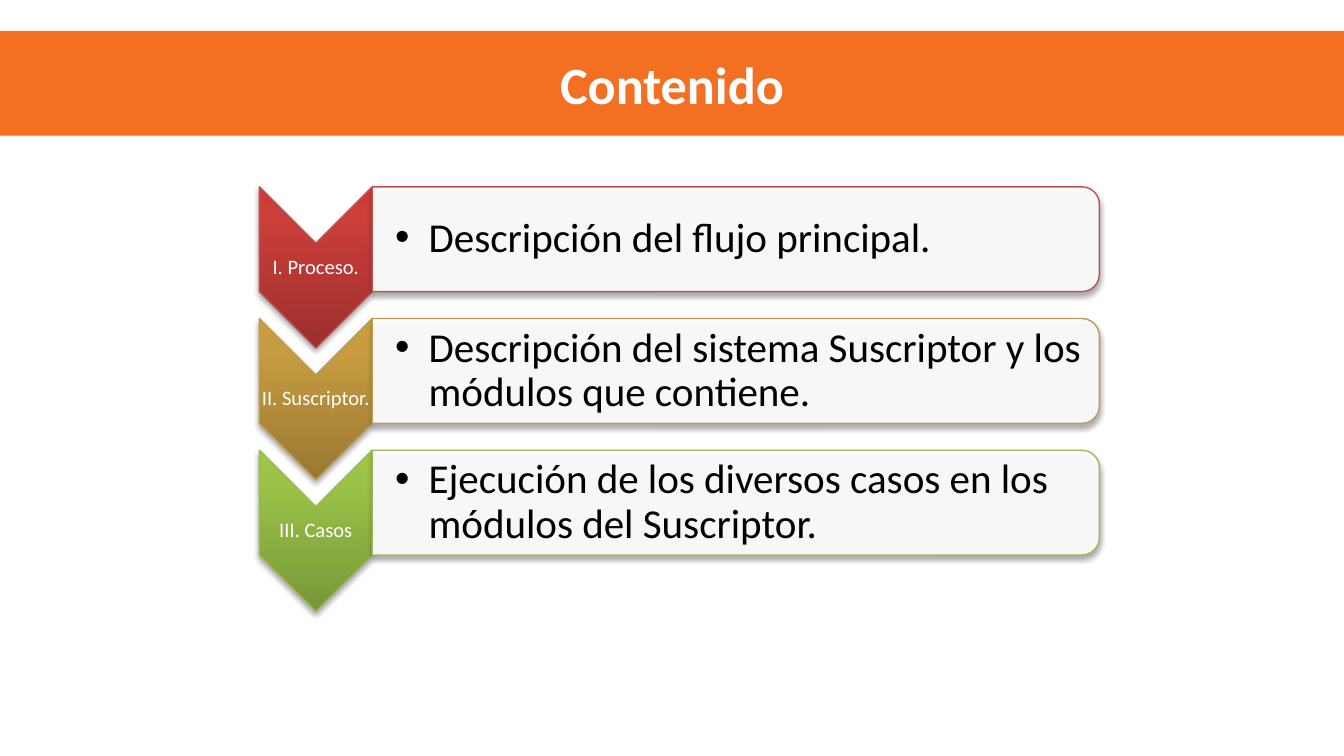
from copy import deepcopy
from dataclasses import dataclass

from pptx import Presentation
from pptx.dml.color import RGBColor
from pptx.enum.shapes import MSO_SHAPE
from pptx.enum.text import MSO_ANCHOR, PP_ALIGN
from pptx.oxml import parse_xml
from pptx.oxml.ns import nsdecls, qn
from pptx.shapes.autoshape import Shape
from pptx.shapes.group import GroupShape
from pptx.util import Inches, Pt

CHEVRON = MSO_SHAPE.CHEVRON
ROUND = MSO_SHAPE.ROUND_2_SAME_RECTANGLE
MIDDLE = MSO_ANCHOR.MIDDLE
CENTER = PP_ALIGN.CENTER
LEFT = PP_ALIGN.LEFT

ORANGE = RGBColor(0xF3, 0x70, 0x22)
WHITE = RGBColor(0xFF, 0xFF, 0xFF)
BLACK = RGBColor(0x00, 0x00, 0x00)
RED = RGBColor(0xC0, 0x50, 0x4D)
GOLD = RGBColor(0xBD, 0x9B, 0x53)
GREEN = RGBColor(0x9B, 0xBB, 0x59)
REDS = (RGBColor(0x9C, 0x2F, 0x2D), RGBColor(0xCB, 0x3E, 0x3A), RGBColor(0xCE, 0x3B, 0x37))
GOLDS = (RGBColor(0x99, 0x78, 0x32), RGBColor(0xC7, 0x9C, 0x41), RGBColor(0xCB, 0x9D, 0x3F))
GREENS = (RGBColor(0x77, 0x97, 0x37), RGBColor(0x9B, 0xC3, 0x48), RGBColor(0x9D, 0xC7, 0x46))
STOPS = (0, 0.8, 1)
FONT = "Calibri"
TOP = 1.39
PITCH = 0.98


@dataclass
class Step:
    label: str
    detail: str
    line: RGBColor
    shades: tuple[RGBColor, RGBColor, RGBColor]


STEPS = [
    Step("I. Proceso.", "Descripción del flujo principal.", RED, REDS),
    Step("II. Suscriptor.", "Descripción del sistema Suscriptor y los módulos que contiene.",
         GOLD, GOLDS),
    Step("III. Casos", "Ejecución de los diversos casos en los módulos del Suscriptor.",
         GREEN, GREENS),
]


def add_turned(group: GroupShape, kind: int, x: float, y: float,
               width: float, height: float, line: RGBColor) -> Shape:
    left = x + (width - height) / 2
    top = y + (height - width) / 2
    shape = group.shapes.add_shape(kind, Inches(left), Inches(top),
                                   Inches(height), Inches(width))
    shape.rotation = 90
    shape.line.color.rgb = line
    shape.line.width = Pt(0.75)
    shape.shadow.inherit = False
    shape.element.spPr.find(qn("a:effectLst")).append(parse_xml(
        f'<a:outerShdw {nsdecls("a")} blurRad="{Pt(3.1)}" dist="{Pt(1.8)}" dir="5400000" '
        'rotWithShape="0"><a:srgbClr val="000000"><a:alpha val="35000"/>'
        '</a:srgbClr></a:outerShdw>'))
    return shape


def fill_shades(shape: Shape, shades: tuple[RGBColor, RGBColor, RGBColor]) -> None:
    shape.fill.gradient()
    shape.fill.gradient_angle = 90
    grad = shape.element.spPr.find(qn("a:gradFill"))
    grad.set("rotWithShape", "0")
    stops = grad.find(qn("a:gsLst"))
    stops.append(deepcopy(stops[-1]))
    for stop, place, shade in zip(shape.fill.gradient_stops, STOPS, shades):
        stop.position = place
        stop.color.rgb = shade


def add_text(group: GroupShape, text: str, x: float, y: float, width: float, height: float,
             size: int, color: RGBColor, inset: float, edge: float, bullet: bool) -> None:
    box = group.shapes.add_textbox(Inches(x), Inches(y), Inches(width), Inches(height))
    frame = box.text_frame
    frame.word_wrap = True
    frame.vertical_anchor = MIDDLE
    frame.margin_left = Inches(inset)
    frame.margin_right = frame.margin_top = frame.margin_bottom = Inches(edge)
    para = frame.paragraphs[0]
    para.alignment = LEFT if bullet else CENTER
    para.line_spacing = 0.9
    if bullet:
        para.level = 1
        props = para._p.get_or_add_pPr()
        props.set("marL", str(Inches(0.25)))
        props.set("indent", str(Inches(-0.25)))
        props.append(parse_xml(f'<a:buFont {nsdecls("a")} typeface="Arial"/>'))
        props.append(parse_xml(f'<a:buChar {nsdecls("a")} char="•"/>'))
    run = para.add_run()
    run.text = text
    run.font.name = FONT
    run.font.size = Pt(size)
    run.font.color.rgb = color


def add_step(group: GroupShape, step: Step, y: float) -> None:
    arrow = add_turned(group, CHEVRON, 1.93, y, 0.84, 1.2, step.line)
    fill_shades(arrow, step.shades)
    add_text(group, step.label, 1.93, y + 0.42, 0.84, 0.36, 11, WHITE, 0.01, 0.01, False)
    panel = add_turned(group, ROUND, 2.77, y, 5.41, 0.78, step.line)
    panel.fill.solid()
    panel.fill.fore_color.rgb = WHITE
    tint = panel.element.spPr.find(qn("a:solidFill"))[0]
    tint.append(parse_xml(f'<a:alpha {nsdecls("a")} val="90000"/>'))
    add_text(group, step.detail, 2.77, y + 0.04, 5.37, 0.7, 22, BLACK, 0.17, 0.02, True)


def main() -> None:
    deck = Presentation()
    deck.slide_width = Inches(10)
    deck.slide_height = Inches(10 * 9 / 16)
    slide = deck.slides.add_slide(deck.slide_layouts[5])
    title = slide.shapes.title
    title.left, title.top = Inches(0), Inches(0.23)
    title.width, title.height = Inches(10), Inches(0.78)
    title.fill.solid()
    title.fill.fore_color.rgb = ORANGE
    title.text_frame.vertical_anchor = MIDDLE
    para = title.text_frame.paragraphs[0]
    para.alignment = CENTER
    run = para.add_run()
    run.text = "Contenido"
    run.font.name = FONT
    run.font.size = Pt(28)
    run.font.bold = True
    run.font.color.rgb = WHITE
    group = slide.shapes.add_group_shape()
    for row, step in enumerate(STEPS):
        add_step(group, step, TOP + row * PITCH)
    deck.save("out.pptx")


if __name__ == "__main__":
    main()
